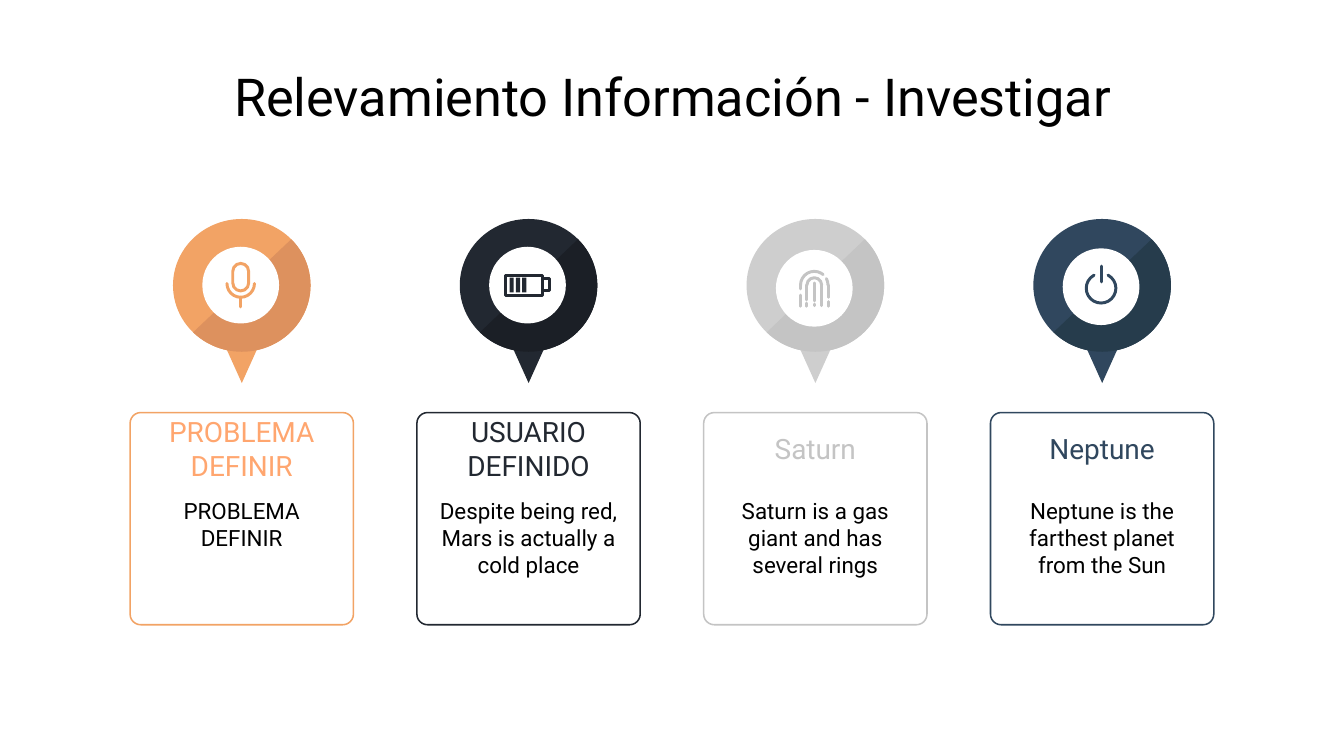
from pptx import Presentation
from pptx import util as u
from pptx.dml.color import RGBColor
from pptx.enum import shapes, text
from pptx.oxml.ns import qn
from lxml import etree

Cm, Pt = u.Cm, u.Pt
MSO = shapes.MSO_SHAPE
FONT = "Roboto"
WHITE = RGBColor(0xFF, 0xFF, 0xFF)
BLACK = RGBColor(0, 0, 0)
ORANGE = RGBColor(0xF2, 0xA3, 0x65)
ORANGE_TEXT = RGBColor(0xFF, 0xA6, 0x6F)
ORANGE_SHADE = RGBColor(0xDD, 0x91, 0x5E)
DARK = RGBColor(0x22, 0x28, 0x31)
DARK_SHADE = RGBColor(0x1B, 0x1F, 0x26)
LIGHT = RGBColor(0xCE, 0xCE, 0xCE)
GREY = RGBColor(0xC4, 0xC4, 0xC4)
NAVY = RGBColor(0x30, 0x47, 0x5E)
NAVY_SHADE = RGBColor(0x26, 0x3C, 0x4C)


def add_shape(s, kind, x, y, w, h, fill=None, line=None, width=1.6):
    sp = s.shapes.add_shape(kind, Cm(x), Cm(y), Cm(w), Cm(h))
    sp.shadow.inherit = False
    if fill is None:
        sp.fill.background()
    else:
        sp.fill.solid()
        sp.fill.fore_color.rgb = fill
    if line is None:
        sp.line.fill.background()
    else:
        sp.line.color.rgb = line
        sp.line.width = Pt(width)
    return sp


def round_cap(sp):
    sp._element.spPr.find(qn("a:ln")).set("cap", "rnd")


def set_angles(sp, start, end):
    for i, degrees in enumerate((start, end)):
        sp.adjustments[i] = degrees * 0.6


def add_arc(s, cx, cy, radius, start, end, color):
    sp = add_shape(s, MSO.ARC, cx - radius, cy - radius, 2 * radius, 2 * radius, line=color)
    set_angles(sp, start, end)
    round_cap(sp)


def add_stroke(s, x, top, bottom, color):
    c = s.shapes.add_connector(shapes.MSO_CONNECTOR.STRAIGHT, Cm(x), Cm(top), Cm(x), Cm(bottom))
    c.line.color.rgb = color
    c.line.width = Pt(1.6)
    round_cap(c)
    etree.SubElement(c._element.spPr, qn("a:effectLst"))


def add_text(s, x, y, w, h, content, size, color, anchor):
    tf = s.shapes.add_textbox(Cm(x), Cm(y), Cm(w), Cm(h)).text_frame
    tf.word_wrap = True
    tf.vertical_anchor = anchor
    tf.margin_left = tf.margin_right = tf.margin_top = tf.margin_bottom = Cm(0.25)
    p = tf.paragraphs[0]
    p.text = content
    p.alignment = text.PP_ALIGN.CENTER
    r = p.runs[0]
    r.font.name = FONT
    r.font.size = Pt(size)
    r.font.color.rgb = color


def microphone(s, cx, cy, color):
    sp = add_shape(s, MSO.ROUNDED_RECTANGLE, cx - 0.15, cy - 0.41, 0.3, 0.52, line=color)
    sp.adjustments[0] = 0.5
    add_arc(s, cx, cy - 0.03, 0.26, 0, 180, color)
    add_stroke(s, cx, cy + 0.23, cy + 0.41, color)


def battery(s, cx, cy, color):
    add_shape(s, MSO.RECTANGLE, cx - 0.41, cy - 0.19, 0.7, 0.38, line=color)
    add_shape(s, MSO.RECTANGLE, cx + 0.29, cy - 0.12, 0.13, 0.23, line=color)
    for i in range(3):
        add_shape(s, MSO.RECTANGLE, cx - 0.34 + 0.12 * i, cy - 0.14, 0.08, 0.28, fill=color)


def fingerprint(s, cx, cy, color):
    for radius, start, end in ((0.26, 180, 310), (0.26, 332, 360), (0.14, 180, 360)):
        add_arc(s, cx, cy - 0.06, radius, start, end, color)
    ridges = {-0.26: ((-0.06, 0.01), (0.13, 0.34)),
              -0.14: ((-0.06, 0.22), (0.28, 0.34)),
              0: ((-0.1, 0.24), (0.3, 0.33)),
              0.14: ((-0.06, 0.33),),
              0.26: ((-0.06, 0.17), (0.25, 0.34))}
    for dx, spans in ridges.items():
        for top, bottom in spans:
            add_stroke(s, cx + dx, cy + top, cy + bottom, color)


def power(s, cx, cy, color):
    add_arc(s, cx, cy + 0.03, 0.28, 298, 242, color)
    add_stroke(s, cx, cy - 0.39, cy - 0.09, color)


def add_pin(s, x, y, w, h, color, shade, icon, icon_color, hub_y):
    cx = x + w / 2
    ring_w, ring_h, tip_w, tip_h, hub = 2.6, 2.51, 0.73, 0.81, 1.45
    tip = add_shape(s, MSO.ISOSCELES_TRIANGLE, cx - tip_w / 2, y + h - tip_h, tip_w, tip_h, color)
    tip.rotation = 180
    ring = (cx - ring_w / 2, y, ring_w, ring_h)
    add_shape(s, MSO.OVAL, *ring, color)
    set_angles(add_shape(s, MSO.CHORD, *ring, shade), 317, 136)
    cx -= 0.02
    cy = y + hub_y
    add_shape(s, MSO.OVAL, cx - hub / 2, cy - hub / 2, hub, hub, WHITE)
    icon(s, cx, cy, icon_color)


def add_card(s, x, y, w, h, heading, body, line, heading_color):
    sp = add_shape(s, MSO.ROUNDED_RECTANGLE, x, y, w, h, line=line, width=0.81)
    sp.adjustments[0] = 0.05
    heading_h = 1.35
    add_text(s, x, y, w, heading_h, heading, 15, heading_color, text.MSO_ANCHOR.MIDDLE)
    add_text(s, x, y + heading_h, w, h - heading_h, body, 12, BLACK, text.MSO_ANCHOR.TOP)


def main():
    prs = Presentation()
    prs.slide_width, prs.slide_height = Cm(25.4), Cm(14.29)
    s = prs.slides.add_slide(prs.slide_layouts[6])
    add_text(s, 1.98, 1.14, 21.46, 1.35, "Relevamiento Información - Investigar",
             28, BLACK, text.MSO_ANCHOR.MIDDLE)
    topics = (
        ("PROBLEMA DEFINIR", "PROBLEMA DEFINIR",
         ORANGE, ORANGE_TEXT, (ORANGE, ORANGE_SHADE, microphone, ORANGE, 1.25)),
        ("USUARIO DEFINIDO", "Despite being red, Mars is actually a cold place",
         DARK, DARK, (DARK, DARK_SHADE, battery, DARK, 1.25)),
        ("Saturn", "Saturn is a gas giant and has several rings",
         GREY, GREY, (LIGHT, GREY, fingerprint, GREY, 1.31)),
        ("Neptune", "Neptune is the farthest planet from the Sun",
         NAVY, NAVY, (NAVY, NAVY_SHADE, power, NAVY, 1.28)),
    )
    left, step, width = 2.46, 5.42, 4.22
    for i, (heading, body, line, heading_color, pin) in enumerate(topics):
        x = left + i * step
        add_card(s, x, 7.8, width, 4.01, heading, body, line, heading_color)
        add_pin(s, x, 4.14, width, 3.1, *pin)
    prs.save("out.pptx")


if __name__ == "__main__":
    main()
